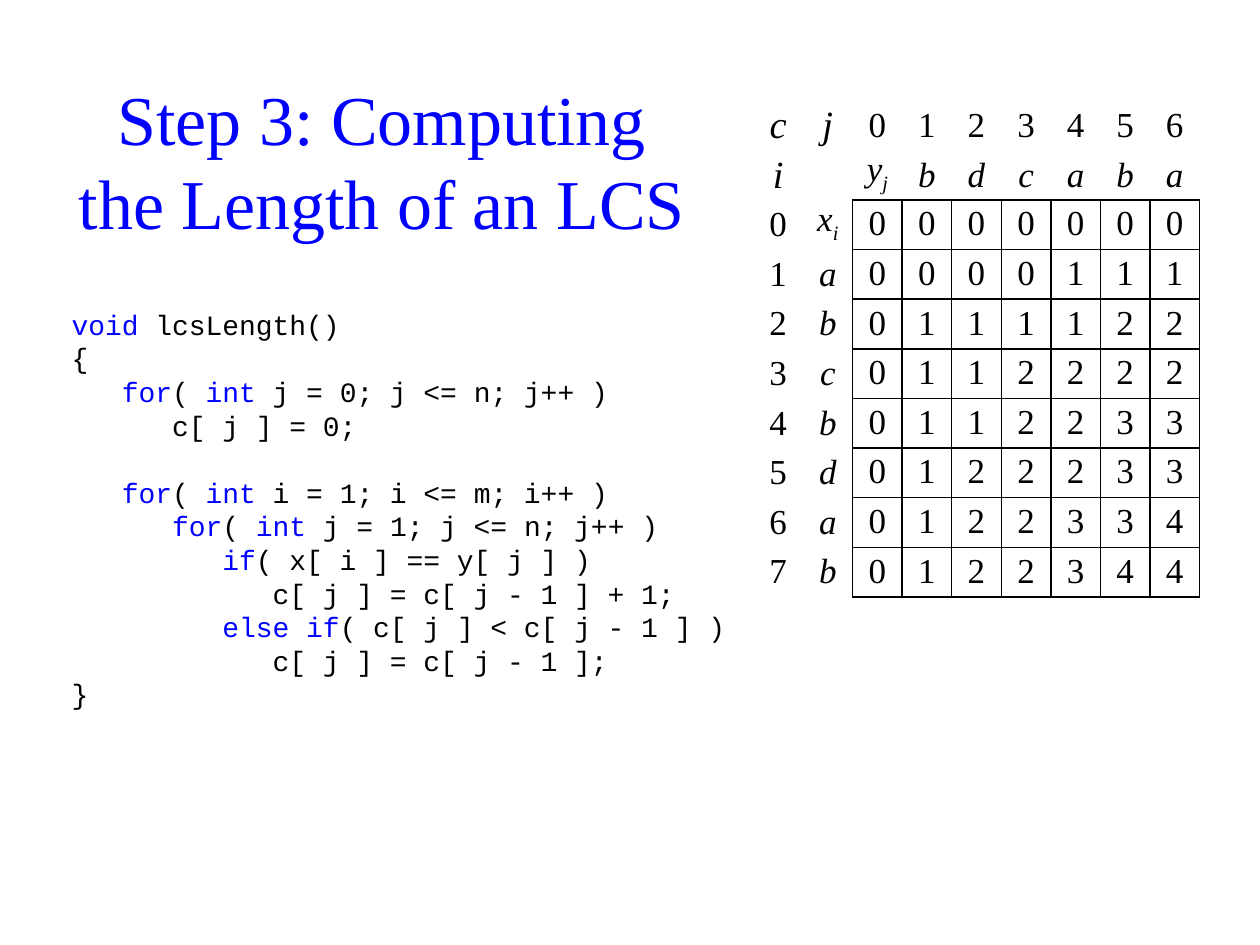
from lxml.etree import SubElement
from pptx import Presentation
from pptx.dml.color import RGBColor
from pptx.enum.text import MSO_ANCHOR, PP_ALIGN
from pptx.oxml.ns import qn
from pptx.util import Inches, Pt

BLACK = RGBColor(0x00, 0x00, 0x00)
BLUE = RGBColor(0x00, 0x00, 0xFF)
WHITE = RGBColor(0xFF, 0xFF, 0xFF)
SERIF, MONO = "Times New Roman", "Courier New"
SIDE = 0.39

# Keywords stand between asterisks
CODE = """*void *lcsLength()
{
   *for*( *int* j = 0; j <= n; j++ )
      c[ j ] = 0;

   *for*( *int* i = 1; i <= m; i++ )
      *for*( *int* j = 1; j <= n; j++ )
         *if*( x[ i ] == y[ j ] )
            c[ j ] = c[ j - 1 ] + 1;
         *else if*( c[ j ] < c[ j - 1 ] )
            c[ j ] = c[ j - 1 ];
}"""

# An underscore starts a subscript
HEADS = ["c j 0 1 2 3 4 5 6".split(), ["i", ""] + "y_j b d c a b a".split()]
NAMES = ["x_i", "a", "b", "c", "b", "d", "a", "b"]
COUNTS = ["0000000", "0000111", "0111122", "0112222",
          "0112233", "0122233", "0122334", "0122344"]


def put(par, text, size=20, face=SERIF, color=BLACK, italic=False,
        align=PP_ALIGN.LEFT, pitch=None, base=0):
    """Add one run of text to a paragraph."""
    par.alignment = align
    if pitch:
        par.line_spacing = pitch
    run = par.add_run()
    run.text = text
    font = run.font
    font.size, font.name, font.italic = Pt(size), face, italic
    font.color.rgb = color
    if base:
        run._r.get_or_add_rPr().set("baseline", str(base * 1000))


def add_box(slide, left, top, width, height, anchor=MSO_ANCHOR.TOP):
    box = slide.shapes.add_textbox(Inches(left), Inches(top),
                                   Inches(width), Inches(height))
    frame = box.text_frame
    frame.word_wrap = True
    frame.vertical_anchor = anchor
    return frame


def add_code(slide):
    frame = add_box(slide, 0.47, 2.37, 9.06, 4.53)
    frame.margin_top = Inches(0.07)
    pitch = Pt(19.2)
    par, gap = frame.paragraphs[0], False
    for num, line in enumerate(CODE.split("\n")):
        if not line:
            gap = True
            continue
        if num:
            par = frame.add_paragraph()
        if gap:
            par.space_before, gap = pitch, False
        for part, text in enumerate(line.split("*")):
            if text:
                put(par, text, size=16, face=MONO, pitch=pitch,
                    color=BLUE if part % 2 else BLACK)


def set_edges(cell, sides):
    """Draw the named sides of a cell and clear the others."""
    props = cell._tc.get_or_add_tcPr()
    for side in "LRTB":
        line = SubElement(props, qn("a:ln" + side), w=str(Pt(1)))
        if side in sides:
            fill = SubElement(line, qn("a:solidFill"))
            SubElement(fill, qn("a:srgbClr"), val=str(BLACK))
        else:
            SubElement(line, qn("a:noFill"))


def fill_cell(cell, text, row, col):
    inner = row > 1 and col > 1
    if inner:
        set_edges(cell, "LRTB")
    elif row == 1 and col > 1:
        set_edges(cell, "B")
    elif row > 1 and col == 1:
        set_edges(cell, "R")
    else:
        set_edges(cell, "")
    if row and col:
        cell.fill.solid()
        cell.fill.fore_color.rgb = WHITE
    else:
        cell.fill.background()
    cell.margin_top = cell.margin_bottom = 0
    cell.margin_left = cell.margin_right = Inches(0.1)
    main, _, sub = text.partition("_")
    cell.vertical_anchor = MSO_ANCHOR.TOP if sub else MSO_ANCHOR.MIDDLE
    if not text:
        return
    par = cell.text_frame.paragraphs[0]
    look = dict(size=22 if text in HEADS[0][:2] + ["i"] and row + col < 2
                else 20,
                italic=not text.isdigit(), align=PP_ALIGN.CENTER,
                pitch=0.95 if inner else None)
    put(par, main, **look)
    if sub:
        put(par, sub, base=-25, **look)


def add_grid(slide):
    rows = HEADS + [[str(num), name, *vals] for num, (name, vals)
                    in enumerate(zip(NAMES, COUNTS))]
    high, wide = len(rows), len(rows[0])
    table = slide.shapes.add_table(high, wide, Inches(5.98), Inches(0.8),
                                   Inches(3.54), Inches(3.94)).table
    table.first_row = table.horz_banding = False
    for row, texts in enumerate(rows):
        for col, text in enumerate(texts):
            fill_cell(table.cell(row, col), text, row, col)


def main():
    deck = Presentation()
    deck.slide_width, deck.slide_height = Inches(10), Inches(7.5)
    slide = deck.slides.add_slide(deck.slide_layouts[6])

    # Title
    title = add_box(slide, 0.47, 0.6, 5.12, 1.38, MSO_ANCHOR.BOTTOM)
    put(title.paragraphs[0], "Step 3: Computing the Length of an LCS",
        size=40, color=BLUE, align=PP_ALIGN.CENTER, pitch=Pt(48))

    # Code and table of lengths
    add_code(slide)
    add_grid(slide)
    deck.save("out.pptx")


if __name__ == "__main__":
    main()
